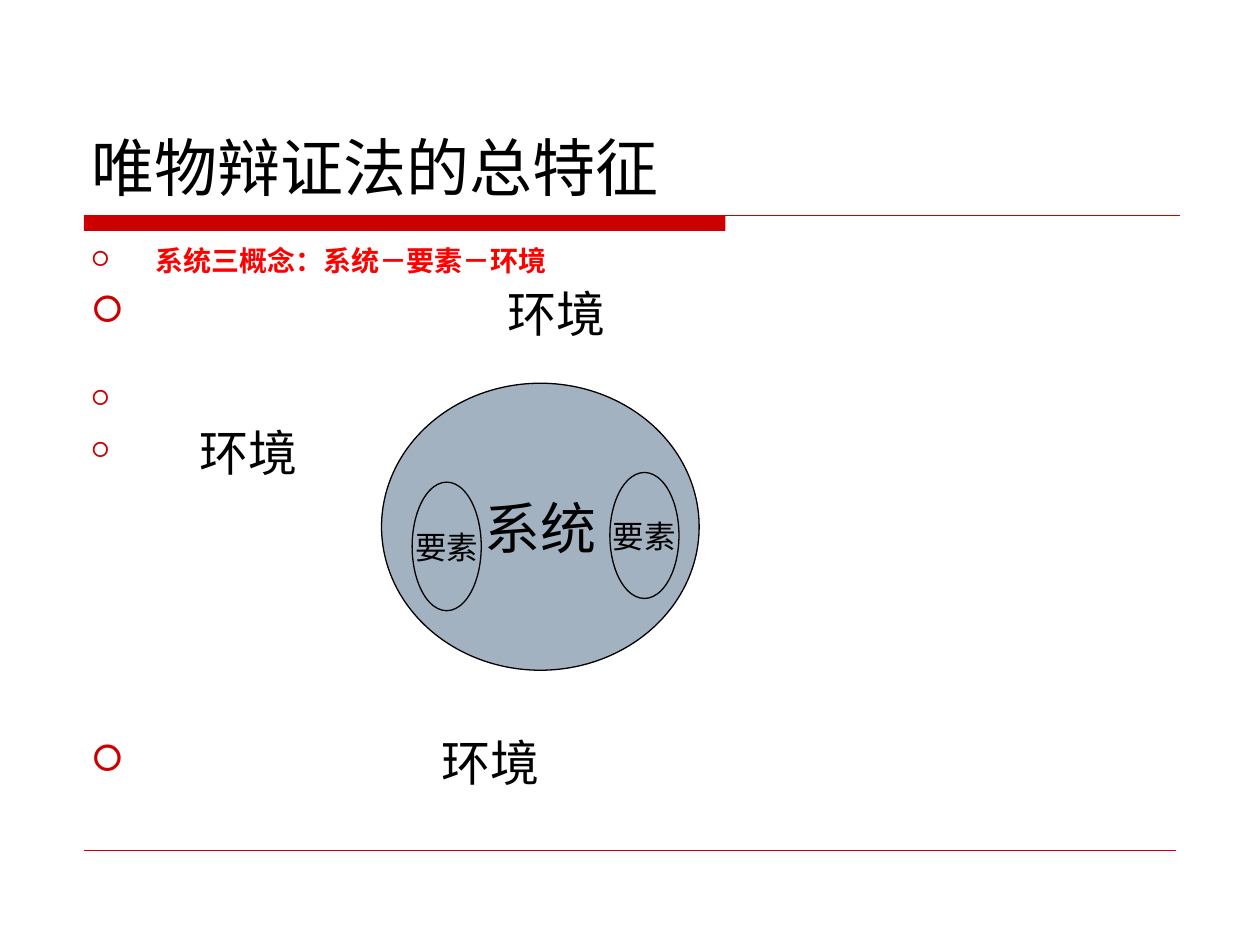
from lxml.etree import SubElement
from pptx import Presentation
from pptx.dml.color import RGBColor
from pptx.enum.shapes import MSO_CONNECTOR, MSO_SHAPE
from pptx.enum.text import MSO_ANCHOR, PP_ALIGN
from pptx.oxml.ns import qn
from pptx.util import Pt

FONT = "DejaVu Sans"
BLACK = RGBColor(0, 0, 0)
RED = RGBColor(255, 0, 0)
DARK_RED = RGBColor(204, 0, 0)
BLUE_GREY = RGBColor(163, 178, 193)


class SlideBuilder:
    def __init__(self, deck):
        self.slide = deck.slides.add_slide(deck.slide_layouts[5])

    def style(self, para, size, color=BLACK, bold=False):
        for span in para.runs:
            span.font.name = FONT
            span.font.size = Pt(size)
            span.font.color.rgb = color
            span.font.bold = bold

    def title(self, text, left, top, width, height):
        box = self.slide.shapes.title
        box.left, box.top, box.width, box.height = map(Pt, (left, top, width, height))
        frame = box.text_frame
        frame.text = text
        frame.vertical_anchor = MSO_ANCHOR.BOTTOM
        frame.paragraphs[0].alignment = PP_ALIGN.LEFT
        self.style(frame.paragraphs[0], 36)

    def bar(self, left, top, width, height):
        shape = self.slide.shapes.add_shape(
            MSO_SHAPE.RECTANGLE, Pt(left), Pt(top), Pt(width), Pt(height))
        shape.shadow.inherit = False
        shape.fill.solid()
        shape.fill.fore_color.rgb = DARK_RED
        shape.line.fill.background()

    def rule(self, left, right, top, weight):
        line = self.slide.shapes.add_connector(
            MSO_CONNECTOR.STRAIGHT, Pt(left), Pt(top), Pt(right), Pt(top))
        line.line.color.rgb = DARK_RED
        line.line.width = Pt(weight)
        SubElement(line._element.spPr, qn("a:effectLst"))

    def bullets(self, items, left, top, width, height):
        box = self.slide.shapes.add_textbox(Pt(left), Pt(top), Pt(width), Pt(height))
        frame = box.text_frame
        frame.word_wrap = True
        for index, (text, size, bullet_size, indent, before, color, bold) in enumerate(items):
            para = frame.paragraphs[0] if index == 0 else frame.add_paragraph()
            para.text = text
            para.line_spacing = 0.9
            para.space_before = Pt(before)
            self.style(para, size, color, bold)
            self.bullet(para, indent, bullet_size)

    def bullet(self, para, indent, size):
        properties = para._p.get_or_add_pPr()
        properties.set("marL", str(Pt(indent)))
        properties.set("indent", str(-Pt(indent)))
        color = SubElement(properties, qn("a:buClr"))
        SubElement(color, qn("a:srgbClr"), val=str(DARK_RED))
        SubElement(properties, qn("a:buSzPct"), val=str(size * 1000))
        SubElement(properties, qn("a:buFont"), typeface="Wingdings")
        SubElement(properties, qn("a:buChar"), char="□")

    def ellipse(self, text, size, left, top, width, height):
        shape = self.slide.shapes.add_shape(
            MSO_SHAPE.OVAL, Pt(left), Pt(top), Pt(width), Pt(height))
        shape.shadow.inherit = False
        shape.fill.solid()
        shape.fill.fore_color.rgb = BLUE_GREY
        shape.line.color.rgb = BLACK
        shape.line.width = Pt(0.75)
        frame = shape.text_frame
        frame.word_wrap = False
        frame.vertical_anchor = MSO_ANCHOR.MIDDLE
        frame.text = text
        frame.paragraphs[0].alignment = PP_ALIGN.CENTER
        self.style(frame.paragraphs[0], size)


def main():
    deck = Presentation()
    deck.slide_width, deck.slide_height = Pt(720), Pt(540)
    builder = SlideBuilder(deck)
    builder.bar(48, 123, 366.5, 9)
    builder.rule(48, 674.5, 123, 0.75)
    builder.rule(48, 672, 486, 0.25)
    builder.title("唯物辩证法的总特征", 45, 24, 630, 96)
    builder.bullets([
        ("系统三概念：系统－要素－环境", 16, 75, 37, 4, RED, True),
        ("环境", 28, 75, 238, 7, BLACK, False),
        (" ", 16, 75, 37, 25, BLACK, False),
        ("环境", 28, 43, 62, 7, BLACK, False),
        ("环境", 28, 75, 200, 147, BLACK, False),
    ], 45, 138, 630, 336)
    builder.ellipse("系统", 32, 218, 219, 181.5, 164)
    builder.ellipse("要素", 18, 348.5, 270, 39.5, 72)
    builder.ellipse("要素", 18, 235.5, 275.5, 39.5, 73.5)
    deck.save("out.pptx")


if __name__ == "__main__":
    main()
